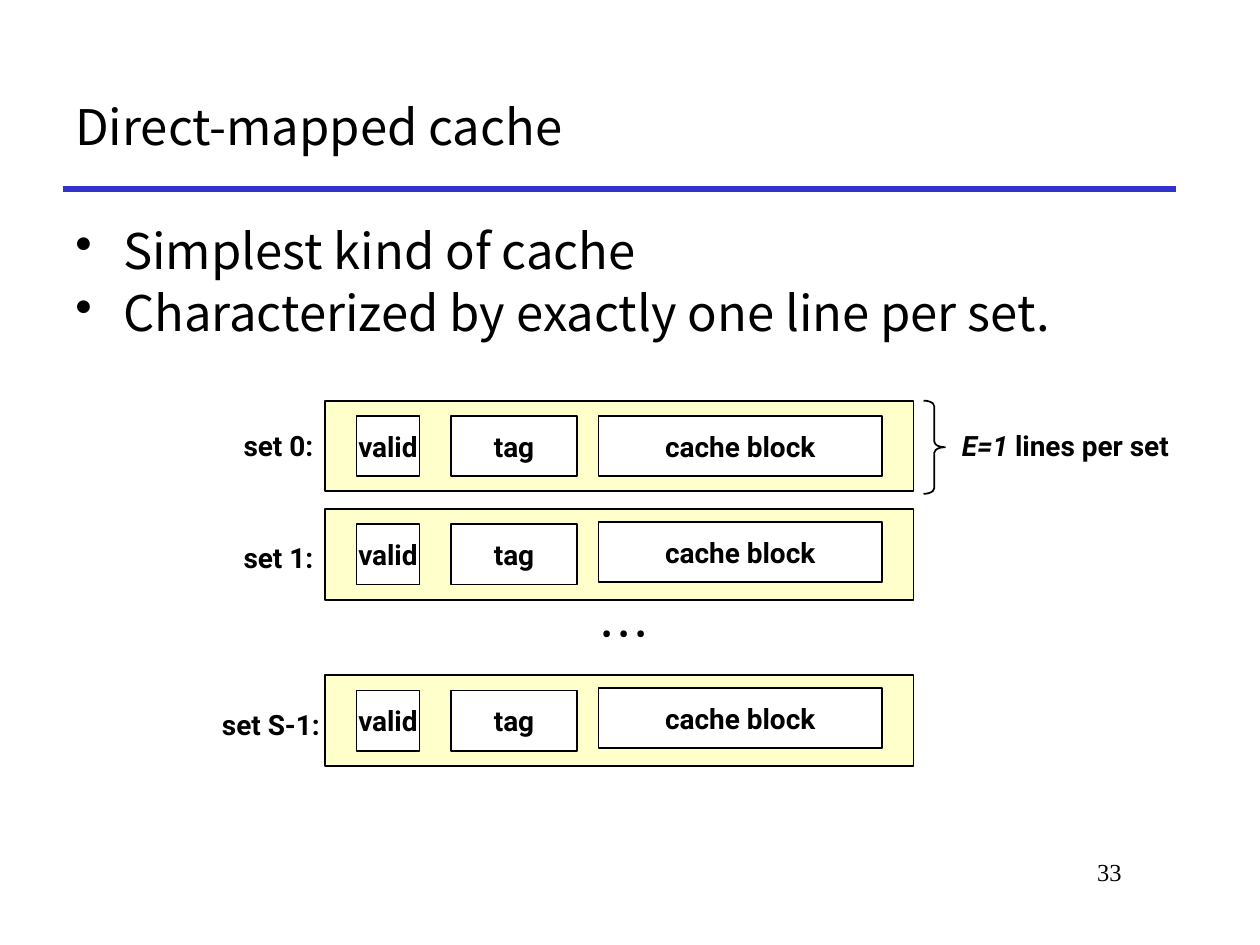
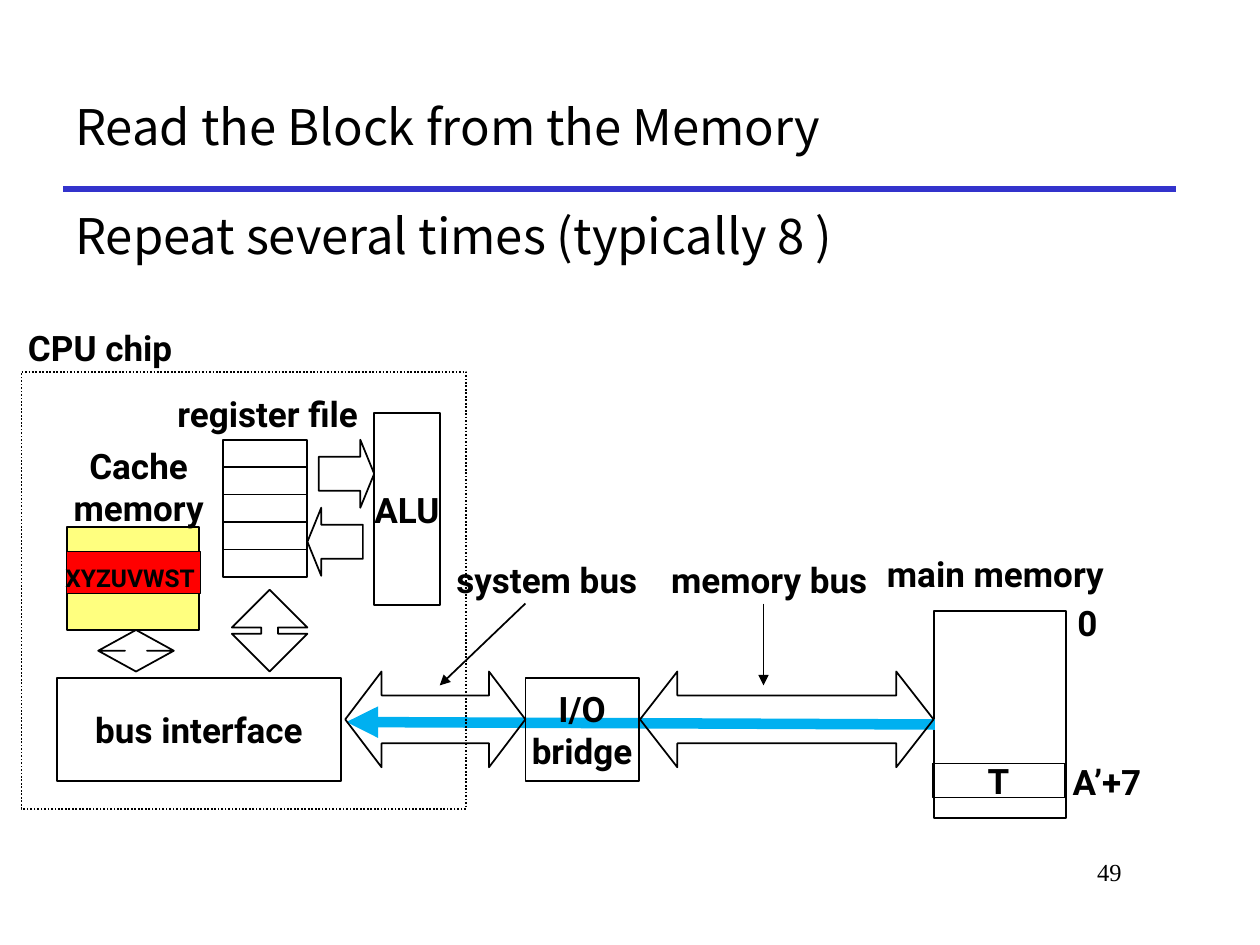
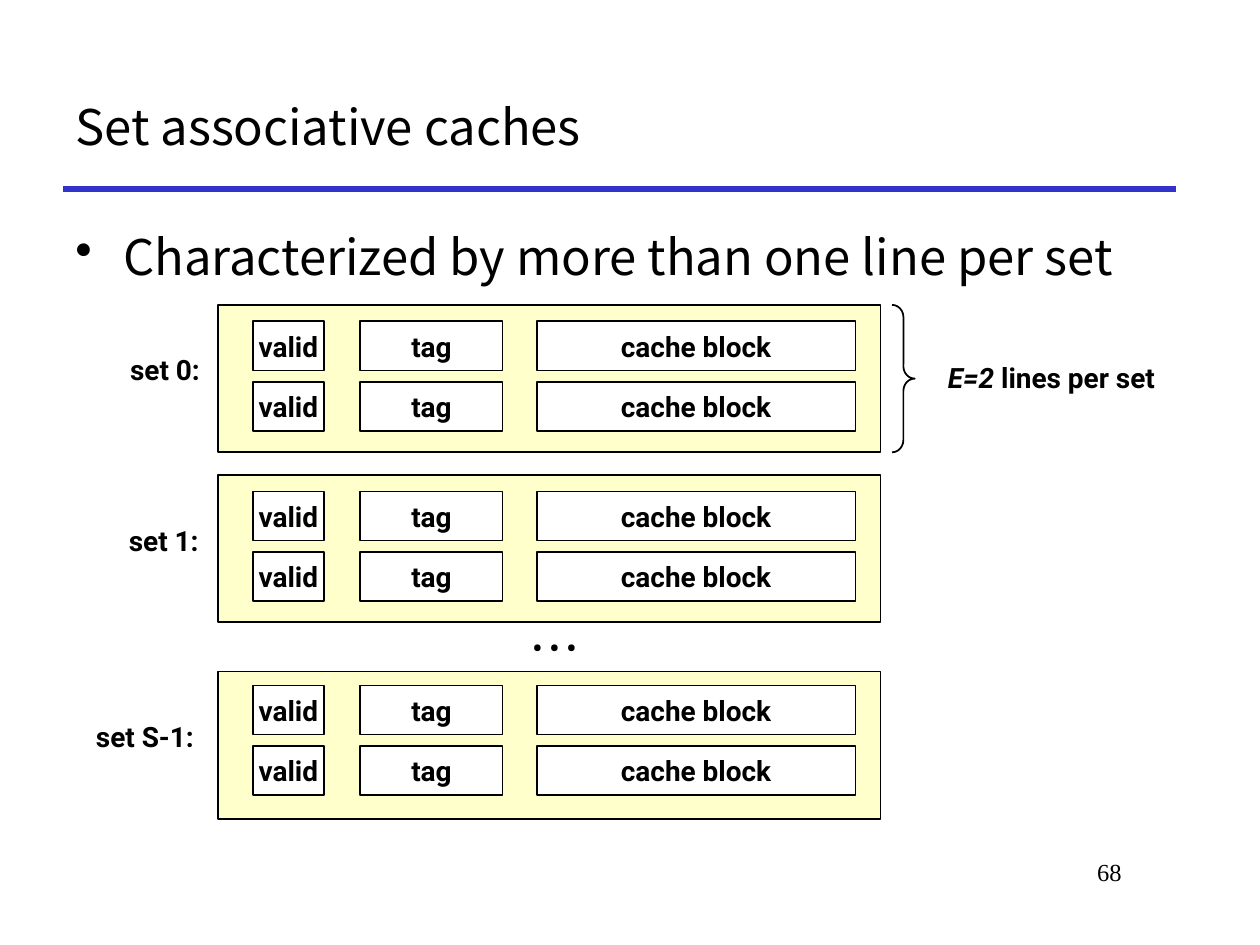
from dataclasses import dataclass

from lxml import etree
from pptx import Presentation
from pptx.dml.color import RGBColor
from pptx.enum.dml import MSO_LINE
from pptx.enum.shapes import MSO_CONNECTOR, MSO_SHAPE
from pptx.enum.text import MSO_ANCHOR, MSO_AUTO_SIZE, PP_ALIGN
from pptx.oxml.ns import qn
from pptx.util import Inches, Pt

RECT = MSO_SHAPE.RECTANGLE
BRACE = MSO_SHAPE.RIGHT_BRACE
RIGHT_ARROW = MSO_SHAPE.RIGHT_ARROW
LEFT_ARROW = MSO_SHAPE.LEFT_ARROW
WIDE_ARROW = MSO_SHAPE.LEFT_RIGHT_ARROW
TALL_ARROW = MSO_SHAPE.UP_DOWN_ARROW
STRAIGHT = MSO_CONNECTOR.STRAIGHT
DOTTED = MSO_LINE.ROUND_DOT
LEFT, CENTER, RIGHT = PP_ALIGN.LEFT, PP_ALIGN.CENTER, PP_ALIGN.RIGHT
TOP, MIDDLE = MSO_ANCHOR.TOP, MSO_ANCHOR.MIDDLE
GROW = MSO_AUTO_SIZE.SHAPE_TO_FIT_TEXT

WIDTH, HEIGHT = Inches(10), Inches(7.5)
COL, ROW = WIDTH / 100, HEIGHT / 75


@dataclass(frozen=True)
class Theme:
    ink: str = "000000"
    paper: str = "FFFFFF"
    rule: str = "3333CC"
    flow: str = "00B0F0"
    pale: str = "FFFF99"
    cache: str = "FFFF00"
    hit: str = "FF0000"
    head: str = "Noto Sans CJK KR"
    label: str = "Roboto"
    serif: str = "Times New Roman"
    big: int = 28
    mid: int = 20
    small: int = 16
    tiny: int = 14


THEME = Theme()


def cells(x, y, wide, high):
    return [int(v) for v in (x * COL, y * ROW, wide * COL, high * ROW)]


def write(frame, paras, font=THEME.label, size=THEME.mid, bold=True, align=CENTER,
          anchor=MIDDLE, wrap=False, bullet=False, lead=None, gap=0, slant=()):
    frame.word_wrap = wrap
    frame.vertical_anchor = anchor
    for i, runs in enumerate(paras):
        para = frame.paragraphs[0] if i == 0 else frame.add_paragraph()
        para.alignment = align
        if bullet:
            props = para._p.get_or_add_pPr()
            props.set("marL", str(Inches(0.38)))
            props.set("indent", str(-Inches(0.38)))
            etree.SubElement(props, qn("a:buChar")).set("char", "•")
        if lead:
            para.line_spacing = lead
        if i and gap:
            para.space_before = Pt(gap)
        for word in [runs] if isinstance(runs, str) else runs:
            run = para.add_run()
            run.text = word
            run.font.name = font
            run.font.size = Pt(size)
            run.font.bold = bold
            run.font.italic = word in slant
            run.font.color.rgb = RGBColor.from_string(THEME.ink)


def label(slide, box, *paras, grow=True, **form):
    shape = slide.shapes.add_textbox(*cells(*box))
    write(shape.text_frame, paras, **form)
    if grow:
        shape.text_frame.auto_size = GROW


def block(slide, box, *paras, kind=RECT, fill=None, alpha=None, adjust=(),
          width=1, dash=None, **form):
    shape = slide.shapes.add_shape(kind, *cells(*box))
    shape.shadow.inherit = False
    if fill:
        shape.fill.solid()
        shape.fill.fore_color.rgb = RGBColor.from_string(fill)
    else:
        shape.fill.background()
    if alpha:
        paint = shape.element.spPr.find(qn("a:solidFill")).find(qn("a:srgbClr"))
        etree.SubElement(paint, qn("a:alpha")).set("val", str(alpha * 1000))
    shape.line.color.rgb = RGBColor.from_string(THEME.ink)
    shape.line.width = Pt(width)
    if dash:
        shape.line.dash_style = dash
    for i, value in enumerate(adjust):
        shape.adjustments[i] = value
    if paras:
        write(shape.text_frame, paras, **form)


def stroke(slide, start, end, color=THEME.ink, width=1, tip=None):
    x, y, right, low = cells(*start, *end)
    line = slide.shapes.add_connector(STRAIGHT, x, y, right, low)
    line.line.color.rgb = RGBColor.from_string(color)
    line.line.width = Pt(width)
    props = line.element.spPr
    if tip:
        etree.SubElement(props.find(qn("a:ln")), qn("a:" + tip)).set("type", "triangle")
    etree.SubElement(props, qn("a:effectLst"))


def base(deck, title, number):
    slide = deck.slides.add_slide(deck.slide_layouts[6])
    stroke(slide, (5, 15), (93.3, 15), color=THEME.rule, width=3)
    label(slide, (75.8, 67.5, 14.2, 5), str(number), grow=False, font=THEME.serif,
          size=THEME.tiny, bold=False, align=RIGHT, anchor=TOP, wrap=True)
    label(slide, (5, 5, 88.3, 10), title, grow=False, font=THEME.head,
          size=THEME.big, bold=False, align=LEFT, wrap=True)
    return slide


def body(slide, top, high, *paras, **form):
    label(slide, (5, top, 90.8, high), *paras, grow=False, font=THEME.head,
          size=THEME.big, bold=False, align=LEFT, anchor=TOP, wrap=True, **form)


def bank(slide, name, frame, mid, fields, lines, high):
    block(slide, frame, fill=THEME.pale, alpha=50)
    for line in lines:
        for word, x, wide, shift in fields:
            block(slide, (x, frame[1] + line + shift, wide, high), word,
                  fill=THEME.paper, size=THEME.small)
    label(slide, (mid[0] - 5, mid[1] - 1.85, 10, 3.7), name, size=THEME.small)


def span(slide, box, bend, count, note):
    block(slide, box, kind=BRACE, adjust=(bend, 0.5))
    label(slide, note, (count, " lines per set"), size=THEME.small, slant=(count,))


def direct(deck):
    slide = base(deck, "Direct-mapped cache", 33)
    body(slide, 17.5, 10.8, "Simplest kind of cache",
         "Characterized by exactly one line per set.", bullet=True, lead=0.9, gap=5.6)
    for name, top, x, drop, shift in (("set 0:", 31.8, 22.1, 3.55, 0),
                                      ("set 1:", 40.4, 22.1, 3.85, -0.2),
                                      ("set S-1:", 53.6, 21.5, 3.85, -0.2)):
        fields = (("valid", 28.3, 5, 0), ("tag", 35.8, 10, 0),
                  ("cache block", 47.5, 22.5, shift))
        bank(slide, name, (25.8, top, 46.7, 7.2), (x, top + drop), fields, (1.2,), 4.8)
    label(slide, (46.7, 48.4, 5.6, 3.7), "• • •", size=THEME.small)
    span(slide, (73.3, 31.8, 1.7, 7.4), 0.26, "E=1", (74.4, 33.5, 20.3, 3.7))


def memory(deck):
    slide = base(deck, "Read the Block from the Memory", 49)
    body(slide, 15.8, 10, "Repeat several times (typically 8 )")

    block(slide, (74.1, 48.5, 10.5, 16.4))
    stroke(slide, (27.5, 57.3), (74.2, 57.5), color=THEME.flow, width=6, tip="headEnd")
    block(slide, (74, 60.6, 10.5, 2.7), "T")
    block(slide, (50.8, 53.3, 23.3, 7.6), kind=WIDE_ARROW, adjust=(0.5, 0.39))
    block(slide, (41.7, 53.8, 9, 8.2), "I/O", "bridge")
    block(slide, (27.4, 53.3, 14.3, 7.6), kind=WIDE_ARROW, adjust=(0.5, 0.38))
    block(slide, (4.5, 53.8, 22.6, 8.2), "bus interface")
    for i in range(5):
        block(slide, (17.7, 34.9 + 2.18 * i, 6.7, 2.18))
    block(slide, (25.3, 34.9, 4.4, 5.4), kind=RIGHT_ARROW, adjust=(0.5, 0.25))
    block(slide, (24.4, 40.3, 4.4, 5.4), kind=LEFT_ARROW, adjust=(0.5, 0.25))
    block(slide, (29.7, 32.8, 5.2, 15.2), "ALU")
    block(slide, (18.4, 46.8, 6, 6.5), kind=TALL_ARROW, adjust=(0.5, 0.22))
    block(slide, (1.7, 29.5, 35.3, 34.7), dash=DOTTED)
    for word, x, y, wide in (("0", 84.5, 47.2, 3.6), ("A’+7", 83.9, 59.8, 7.9),
                             ("main memory", 68.9, 43.3, 20.2),
                             ("register file", 12.7, 30.6, 17.1),
                             ("CPU chip", 0.7, 25.4, 14.5),
                             ("system bus", 34.7, 43.8, 17.4),
                             ("memory bus", 51.7, 43.8, 18.7)):
        label(slide, (x, y, wide, 4.4), word)
    stroke(slide, (41.7, 47.9), (34.9, 54.4), tip="tailEnd")
    stroke(slide, (60.6, 47.9), (60.6, 54.4), tip="tailEnd")

    block(slide, (5.3, 41.8, 10.5, 8.2), fill=THEME.cache, alpha=50)
    block(slide, (7.8, 50, 6, 3.3), kind=TALL_ARROW, adjust=(0.5, 0.29))
    label(slide, (3.9, 34.8, 14.2, 7.7), "Cache", "memory", anchor=TOP, wrap=True)
    block(slide, (5.3, 43.8, 10.6, 3.3), fill=THEME.hit, width=0.75)
    label(slide, (4.2, 44.2, 12.9, 3.4), "XYZUVWST", size=THEME.tiny, align=LEFT,
          anchor=TOP)


def ways(deck):
    slide = base(deck, "Set associative caches", 68)
    body(slide, 17.5, 6.7, "Characterized by more than one line per set", bullet=True)
    fields = (("valid", 20.1, 5.6, 0), ("tag", 28.6, 11.3, 0),
              ("cache block", 42.6, 25.3, 0))
    for name, top, x, first in (("set 0:", 24.2, 13.1, 1.3),
                                ("set 1:", 37.7, 13, 1.3),
                                ("set S-1:", 53.3, 11.5, 1.1)):
        bank(slide, name, (17.3, top, 52.6, 11.7), (x, top + 5.15), fields,
             (first, first + 4.8), 3.9)
    label(slide, (39.8, 49.4, 8.4, 3.9), "• • •", grow=False, size=THEME.small)
    span(slide, (70.8, 24.2, 1.8, 11.7), 0.54, "E=2", (73.3, 28.1, 20.3, 3.7))


def main():
    deck = Presentation()
    deck.slide_width, deck.slide_height = WIDTH, HEIGHT
    direct(deck)
    memory(deck)
    ways(deck)
    deck.save("out.pptx")


if __name__ == "__main__":
    main()
